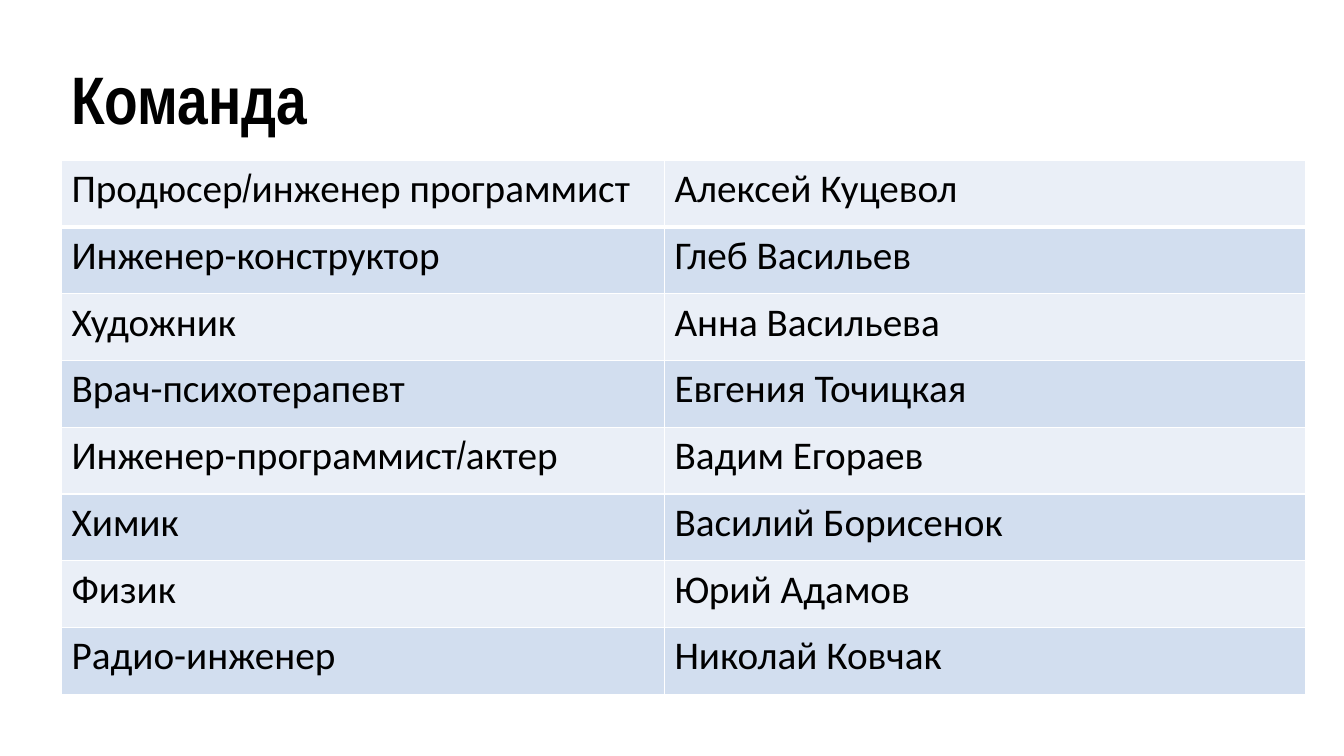
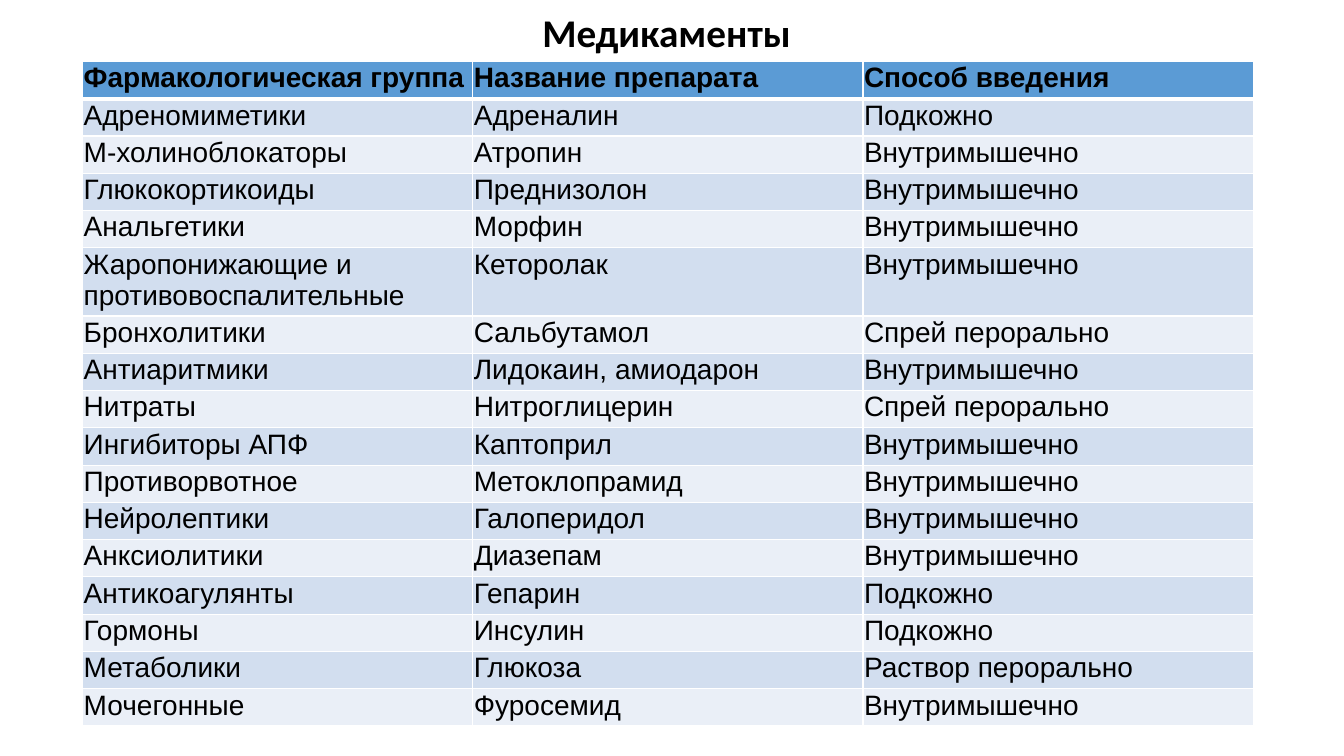
from dataclasses import dataclass

from lxml.etree import SubElement
from pptx import Presentation
from pptx.dml.color import RGBColor as Rgb
from pptx.enum.text import MSO_AUTO_SIZE as AutoSize
from pptx.oxml.ns import qn
from pptx.slide import Slide
from pptx.table import _Cell as Cell
from pptx.text.text import TextFrame
from pptx.util import Emu, Pt

EMU_PER_PX = 9144  # 100 px to the inch


@dataclass(frozen=True)
class Theme:
    ink: str = "000000"
    border: str = "FFFFFF"
    header: str = "5B9BD5"
    band_dark: str = "D2DEEF"
    band_light: str = "EAEFF7"
    narrow: str = "Arial Narrow"
    body: str = "Calibri"
    sans: str = "Arial"
    title_size: int = 48
    team_size: int = 28
    drug_size: int = 20
    thin: int = 1
    thick: int = 3


THEME = Theme()


@dataclass(frozen=True)
class Title:
    text: str
    left: int
    top: int
    width: int
    height: int
    font: str
    size: int
    wrap: bool = True


@dataclass(frozen=True)
class Grid:
    left: int
    top: int
    columns: tuple[int, ...]
    height: int
    rows: tuple[tuple[str, ...], ...]
    first_fill: str
    font: str
    size: int
    first_bold: bool = False
    margins: tuple[int, int, int, int] = (10, 5, 10, 5)  # left, top, right, bottom


TEAM_TITLE = Title("Команда", 61, 52, 1234, 100, THEME.narrow, THEME.title_size)
TEAM = Grid(
    61, 159, (598, 636), 530,
    (
        ("Продюсер/инженер программист", "Алексей Куцевол"),
        ("Инженер-конструктор", "Глеб Васильев"),
        ("Художник", "Анна Васильева"),
        ("Врач-психотерапевт", "Евгения Точицкая"),
        ("Инженер-программист/актер", "Вадим Егораев"),
        ("Химик", "Василий Борисенок"),
        ("Физик", "Юрий Адамов"),
        ("Радио-инженер", "Николай Ковчак"),
    ),
    THEME.band_light, THEME.body, THEME.team_size,
)

DRUGS_TITLE = Title("Медикаменты", 528, 3, 269, 57, THEME.body, THEME.team_size, wrap=False)
DRUGS = Grid(
    82, 61, (387, 387, 387), 629,
    (
        ("Фармакологическая группа", "Название препарата", "Способ введения"),
        ("Адреномиметики", "Адреналин", "Подкожно"),
        ("М-холиноблокаторы", "Атропин", "Внутримышечно"),
        ("Глюкокортикоиды", "Преднизолон", "Внутримышечно"),
        ("Анальгетики", "Морфин", "Внутримышечно"),
        ("Жаропонижающие и противовоспалительные", "Кеторолак", "Внутримышечно"),
        ("Бронхолитики", "Сальбутамол", "Спрей перорально"),
        ("Антиаритмики", "Лидокаин, амиодарон", "Внутримышечно"),
        ("Нитраты", "Нитроглицерин", "Спрей перорально"),
        ("Ингибиторы АПФ", "Каптоприл", "Внутримышечно"),
        ("Противорвотное", "Метоклопрамид", "Внутримышечно"),
        ("Нейролептики", "Галоперидол", "Внутримышечно"),
        ("Анксиолитики", "Диазепам", "Внутримышечно"),
        ("Антикоагулянты", "Гепарин", "Подкожно"),
        ("Гормоны", "Инсулин", "Подкожно"),
        ("Метаболики", "Глюкоза", "Раствор перорально"),
        ("Мочегонные", "Фуросемид", "Внутримышечно"),
    ),
    THEME.header, THEME.sans, THEME.drug_size, first_bold=True, margins=(1, 1, 1, 0),
)


def px(length: int) -> Emu:
    return Emu(length * EMU_PER_PX)


def write(frame: TextFrame, text: str, *, font: str, size: int, bold: bool = False) -> None:
    """Fill the first paragraph; a slash is always set in the narrow font."""
    before, slash, after = text.partition("/")
    for part in filter(None, (before, slash, after)):
        run = frame.paragraphs[0].add_run()
        run.text = part
        run.font.name = THEME.narrow if part == "/" else font
        run.font.size = Pt(size)
        run.font.bold = bold
        run.font.color.rgb = Rgb.from_string(THEME.ink)


def add_title(slide: Slide, title: Title) -> None:
    box = slide.shapes.add_textbox(px(title.left), px(title.top), px(title.width), px(title.height))
    frame = box.text_frame
    frame.word_wrap = title.wrap
    frame.auto_size = AutoSize.SHAPE_TO_FIT_TEXT
    write(frame, title.text, font=title.font, size=title.size, bold=True)


def set_borders(cell: Cell, top: int, bottom: int) -> None:
    properties = cell._tc.get_or_add_tcPr()
    widths = {"a:lnL": THEME.thin, "a:lnR": THEME.thin, "a:lnT": top, "a:lnB": bottom}
    for side, width in widths.items():
        line = SubElement(properties, qn(side), w=str(Pt(width)))
        SubElement(SubElement(line, qn("a:solidFill")), qn("a:srgbClr"), val=THEME.border)


def add_grid(slide: Slide, grid: Grid) -> None:
    """Draw a banded table with a thick rule under its first row."""
    table = slide.shapes.add_table(
        len(grid.rows), len(grid.columns),
        px(grid.left), px(grid.top), px(sum(grid.columns)), px(grid.height),
    ).table
    for column, width in zip(table.columns, grid.columns):
        column.width = px(width)
    for index, texts in enumerate(grid.rows):
        band = THEME.band_dark if index % 2 else THEME.band_light
        fill = band if index else grid.first_fill
        for cell, text in zip(table.rows[index].cells, texts):
            set_borders(
                cell,
                top=THEME.thick if index == 1 else THEME.thin,
                bottom=THEME.thick if index == 0 else THEME.thin,
            )
            cell.fill.solid()
            cell.fill.fore_color.rgb = Rgb.from_string(fill)
            cell.margin_left, cell.margin_top, cell.margin_right, cell.margin_bottom = map(px, grid.margins)
            write(cell.text_frame, text, font=grid.font, size=grid.size, bold=grid.first_bold and index == 0)


def main() -> None:
    deck = Presentation()
    deck.slide_width, deck.slide_height = px(1333), px(750)
    blank = deck.slide_layouts[6]
    for title, grid in ((TEAM_TITLE, TEAM), (DRUGS_TITLE, DRUGS)):
        slide = deck.slides.add_slide(blank)
        add_title(slide, title)
        add_grid(slide, grid)
    deck.save("out.pptx")


if __name__ == "__main__":
    main()
